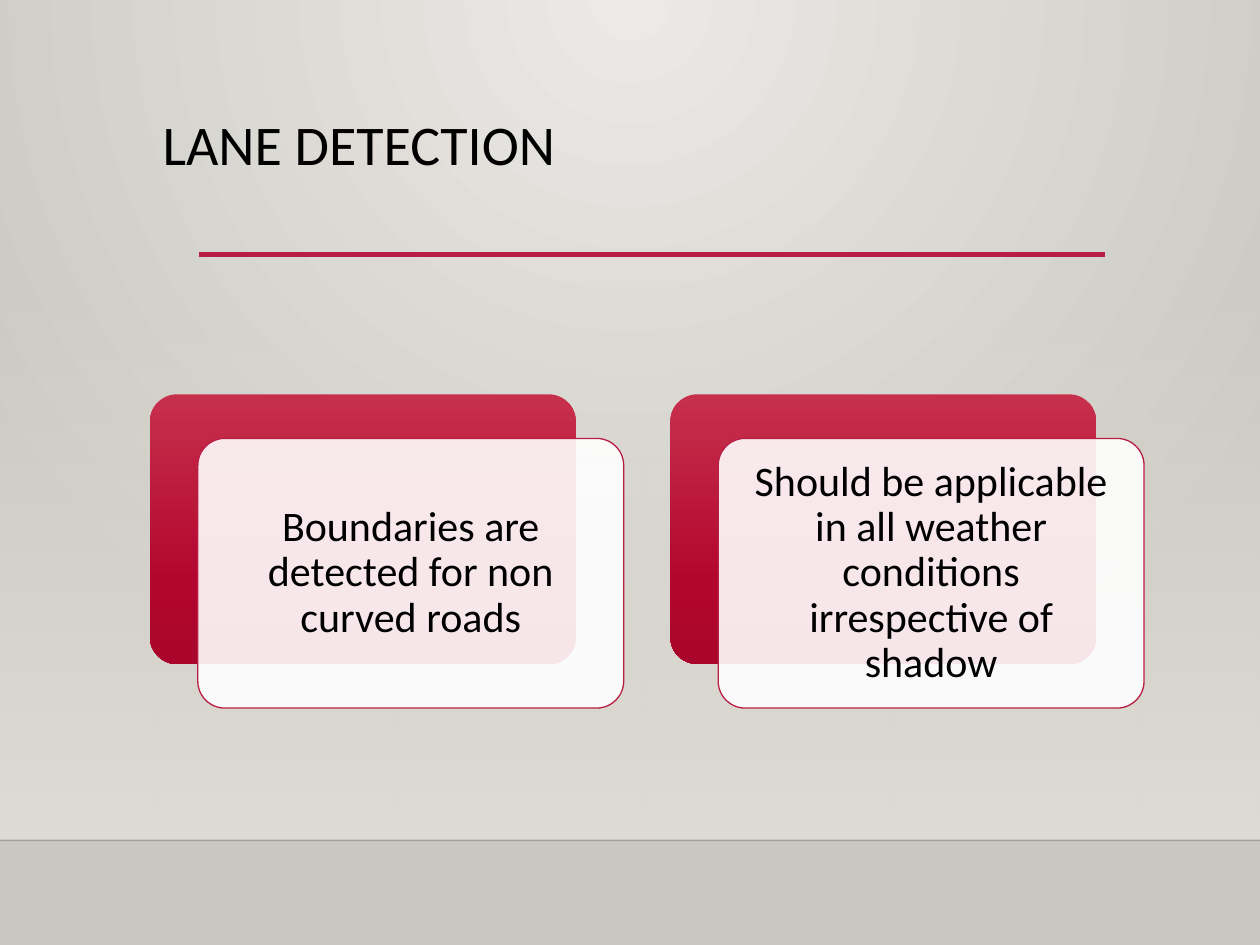
"""Build the lane detection slide with two layered cards."""
from dataclasses import dataclass

from pptx import Presentation
from pptx.dml.color import RGBColor
from pptx.enum.shapes import MSO_CONNECTOR, MSO_SHAPE
from pptx.enum.text import MSO_ANCHOR, PP_ALIGN
from pptx.oxml import parse_xml
from pptx.oxml.ns import nsdecls, qn
from pptx.util import Inches, Pt

BLACK = RGBColor(0x00, 0x00, 0x00)
WHITE = RGBColor(0xFF, 0xFF, 0xFF)
CRIMSON = RGBColor(0xB7, 0x1E, 0x42)
CARD_TOP = RGBColor(0xC7, 0x30, 0x4C)
CARD_MID = RGBColor(0xB3, 0x06, 0x2F)
CARD_END = RGBColor(0xAA, 0x06, 0x2C)
WALL_LIGHT = RGBColor(0xEC, 0xEA, 0xE7)
WALL_DARK = RGBColor(0xCA, 0xC7, 0xC1)
HAZE = RGBColor(0xDF, 0xDB, 0xD5)

LINEAR = '<a:lin ang="5400000" scaled="0"/>'
RADIAL = '<a:path path="circle"><a:fillToRect l="43000" r="43000" b="100000"/></a:path>'
CARD_W, CARD_H = 3.38, 2.14
CARD_LEFT, CARD_Y, CARD_PITCH = 1.19, 3.13, 4.13
SHIFT_X, SHIFT_Y = 0.38, 0.35


@dataclass
class Stop:
    pos: int
    color: RGBColor
    alpha: int = 100


@dataclass
class Rule:
    left: float
    right: float
    y: float
    color: RGBColor
    width: float
    alpha: int = 100


def set_alpha(parent, percent: int) -> None:
    """Set the opacity of the first colour below an element."""
    clr = next(parent.iter(qn("a:srgbClr")))
    clr.append(parse_xml(f'<a:alpha {nsdecls("a")} val="{percent * 1000}"/>'))


def set_gradient(parent, stops: list[Stop], direction: str = LINEAR) -> None:
    """Swap the solid fill of an element for a gradient."""
    gs = "".join(
        f'<a:gs pos="{st.pos * 1000}"><a:srgbClr val="{st.color}">'
        f'<a:alpha val="{st.alpha * 1000}"/></a:srgbClr></a:gs>'
        for st in stops
    )
    grad = parse_xml(
        f'<a:gradFill {nsdecls("a")} rotWithShape="1">'
        f"<a:gsLst>{gs}</a:gsLst>{direction}</a:gradFill>"
    )
    parent.replace(parent.find(qn("a:solidFill")), grad)


def add_box(s, kind, x: float, y: float, w: float, h: float):
    """Add a plain white shape without line or shadow."""
    sp = s.shapes.add_shape(kind, Inches(x), Inches(y), Inches(w), Inches(h))
    sp.shadow.inherit = False
    sp.fill.solid()
    sp.fill.fore_color.rgb = WHITE
    sp.line.fill.background()
    return sp


def add_rule(s, rule: Rule) -> None:
    """Draw a horizontal line."""
    y = Inches(rule.y)
    cx = s.shapes.add_connector(
        MSO_CONNECTOR.STRAIGHT, Inches(rule.left), y, Inches(rule.right), y
    )
    cx.line.color.rgb = rule.color
    cx.line.width = Pt(rule.width)
    set_alpha(cx.line._get_or_add_ln(), rule.alpha)
    cx._element.spPr.append(parse_xml(f'<a:effectLst {nsdecls("a")}/>'))


def write_text(tf, text: str, size: int, frame: dict, align) -> None:
    """Fill a text frame with one formatted paragraph."""
    for name, value in frame.items():
        setattr(tf, name, value)
    p = tf.paragraphs[0]
    p.alignment, p.line_spacing = align, 0.9
    r = p.add_run()
    r.text = text
    for name, value in {"name": "Calibri", "size": Pt(size)}.items():
        setattr(r.font, name, value)
    r.font.color.rgb = BLACK


def add_card(s, x: float, text: str) -> None:
    """Draw a red back panel and a translucent text panel over it."""
    back = add_box(s, MSO_SHAPE.ROUNDED_RECTANGLE, x, CARD_Y, CARD_W, CARD_H)
    front = add_box(
        s, MSO_SHAPE.ROUNDED_RECTANGLE, x + SHIFT_X, CARD_Y + SHIFT_Y, CARD_W, CARD_H
    )
    for sp in (back, front):
        sp.adjustments[0] = 0.1
    set_gradient(
        back._element.spPr, [Stop(0, CARD_TOP), Stop(69, CARD_MID), Stop(100, CARD_END)]
    )
    set_alpha(front._element.spPr, 90)
    front.line.color.rgb = CRIMSON
    front.line.width = Pt(0.75)
    margins = ("margin_left", "margin_top", "margin_right", "margin_bottom")
    frame = {"word_wrap": True, "vertical_anchor": MSO_ANCHOR.MIDDLE}
    frame |= dict.fromkeys(margins, Inches(0.1))
    write_text(front.text_frame, text, 24, frame, PP_ALIGN.CENTER)


def main() -> None:
    """Assemble and save the slide."""
    prs = Presentation()
    prs.slide_width, prs.slide_height = Inches(10), Inches(7.5)
    s = prs.slides.add_slide(prs.slide_layouts[5])

    s.background.fill.solid()
    bg = next(s._element.iter(qn("p:bgPr")))
    set_gradient(bg, [Stop(0, WALL_LIGHT), Stop(100, WALL_DARK)], RADIAL)
    haze = add_box(s, MSO_SHAPE.RECTANGLE, 0, 2.2, 10, 4.46)
    set_gradient(haze._element.spPr, [Stop(0, HAZE, 0), Stop(100, HAZE)])

    add_rule(s, Rule(0, 10, 6.67, BLACK, 1, 20))
    add_rule(s, Rule(1.58, 8.77, 2.02, CRIMSON, 2.5))

    title = s.shapes.title
    box = {"left": 1.19, "top": 0.88, "width": 7.88, "height": 1.15}
    for name, value in box.items():
        setattr(title, name, Inches(value))
    frame = {"word_wrap": True, "vertical_anchor": MSO_ANCHOR.TOP}
    write_text(title.text_frame, "LANE DETECTION", 32, frame, PP_ALIGN.LEFT)

    cards = (
        "Boundaries are detected for non curved roads",
        "Should be applicable in all weather conditions irrespective of shadow",
    )
    for i, text in enumerate(cards):
        add_card(s, CARD_LEFT + i * CARD_PITCH, text)
    prs.save("out.pptx")


if __name__ == "__main__":
    main()
